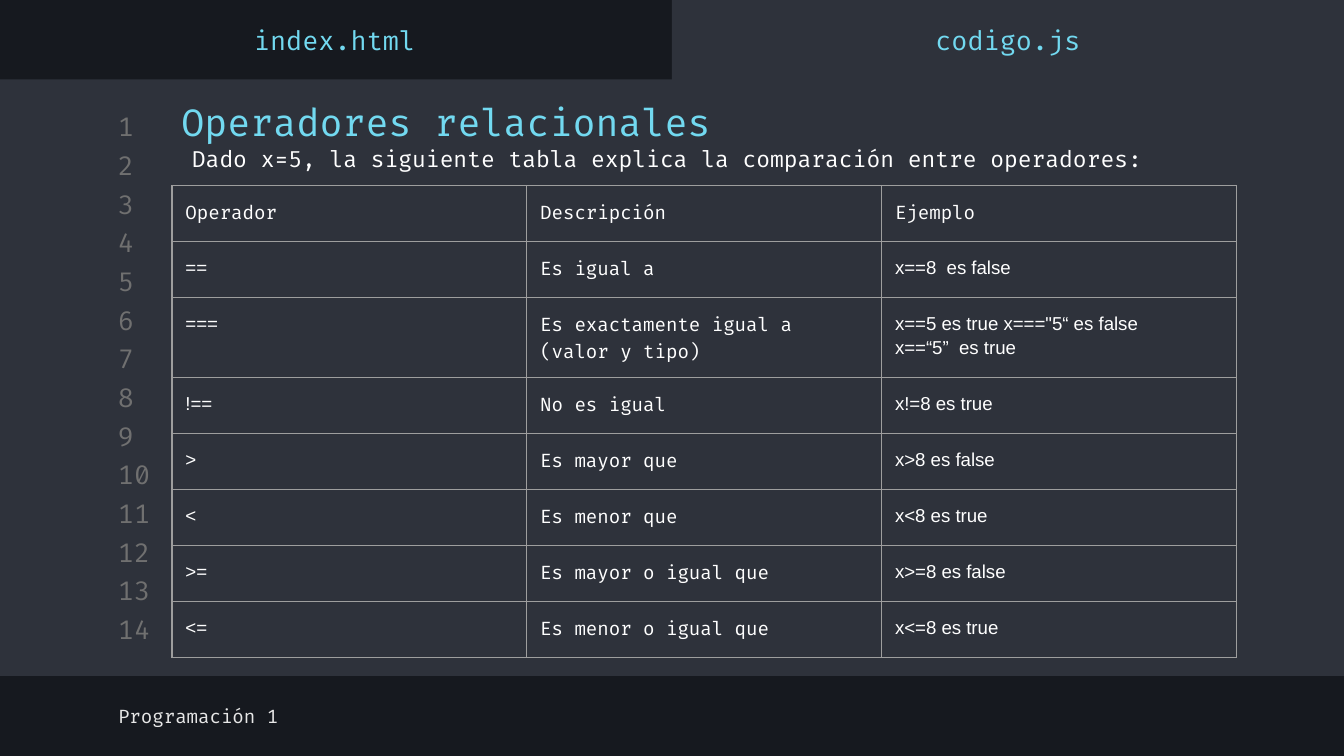
from dataclasses import dataclass

from lxml import etree
from pptx import Presentation
from pptx.dml.color import RGBColor
from pptx.enum.shapes import MSO_SHAPE
from pptx.enum.text import MSO_ANCHOR, MSO_AUTO_SIZE, PP_ALIGN
from pptx.oxml.ns import qn
from pptx.util import Inches, Pt

RECTANGLE = MSO_SHAPE.RECTANGLE
TOP, MIDDLE = MSO_ANCHOR.TOP, MSO_ANCHOR.MIDDLE
LEFT, CENTER = PP_ALIGN.LEFT, PP_ALIGN.CENTER
NO_AUTOFIT = MSO_AUTO_SIZE.NONE

CODE, PLAIN = "Fira Code", "Arial"
DARK, PANEL, CYAN = "16191F", "2E323B", "72D9F0"
GRAY, PALE, WHITE, BORDER = "707070", "E7E7E7", "FFFFFF", "9E9E9E"
INSET = Inches(0.1)

HEADER = ("Operador", "Descripción", "Ejemplo")
OPERATORS = [
    ("==", "Es igual a", "x==8  es false"),
    ("===", "Es exactamente igual a (valor y tipo)",
     "x==5 es true x===\"5“ es false\nx==“5”  es true"),
    ("!==", "No es igual", "x!=8 es true"),
    (">", "Es mayor que", "x>8 es false"),
    ("<", "Es menor que", "x<8 es true"),
    (">=", "Es mayor o igual que", "x>=8 es false"),
    ("<=", "Es menor o igual que", "x<=8 es true"),
]
SLIDE_WIDTH = 10
SLIDE_HEIGHT = SLIDE_WIDTH * 9 / 16
COLUMN_WIDTH, ROW_HEIGHT = 2.64, 5 / 12
LINE_COUNT, FIRST_LINE, LAST_LINE = 14, 0.82, 4.56


@dataclass
class Area:
    left: float
    top: float
    width: float
    height: float

    def lengths(self) -> tuple:
        return tuple(Inches(v) for v in (self.left, self.top, self.width, self.height))


@dataclass
class Label:
    text: str
    area: Area
    size: float
    color: str
    align: int = LEFT
    anchor: int = MIDDLE


def rgb(color: str) -> RGBColor:
    return RGBColor.from_string(color)


def write(frame, text: str, size: float, color: str, font: str = CODE,
          align: int = LEFT, spacing: float = 1.0) -> None:
    """Fill a text frame, one paragraph per line of text."""
    frame.text = text
    for para in frame.paragraphs:
        para.alignment, para.line_spacing = align, spacing
        for span in para.runs:
            for name, value in {"name": font, "size": Pt(size), "bold": False}.items():
                setattr(span.font, name, value)
            span.font.color.rgb = rgb(color)


def write_label(box, label: Label) -> None:
    frame = box.text_frame
    formats = {"margin_left": INSET, "margin_right": INSET, "margin_top": INSET,
               "margin_bottom": INSET, "word_wrap": True, "auto_size": NO_AUTOFIT,
               "vertical_anchor": label.anchor}
    for name, value in formats.items():
        setattr(frame, name, value)
    write(frame, label.text, label.size, label.color, align=label.align)


def add_label(page, label: Label) -> None:
    write_label(page.shapes.add_textbox(*label.area.lengths()), label)


def add_panel(page, area: Area) -> None:
    """Draw a background panel behind the title."""
    panel = page.shapes.add_shape(RECTANGLE, *area.lengths())
    panel.shadow.inherit = False
    panel.fill.solid()
    panel.fill.fore_color.rgb = rgb(PANEL)
    panel.line.fill.background()
    page.shapes.title.element.addprevious(panel.element)


def add_borders(cell) -> None:
    properties = cell._tc.get_or_add_tcPr()
    for index, side in enumerate(("a:lnL", "a:lnR", "a:lnT", "a:lnB")):
        line = etree.Element(qn(side), w=str(Pt(0.75)))
        fill = etree.SubElement(line, qn("a:solidFill"))
        etree.SubElement(fill, qn("a:srgbClr"), val=BORDER)
        properties.insert(index, line)


def add_operator_table(page, left: float, top: float) -> None:
    rows = [HEADER, *OPERATORS]
    area = Area(left, top, COLUMN_WIDTH * len(HEADER), ROW_HEIGHT * len(rows))
    table = page.shapes.add_table(len(rows), len(HEADER), *area.lengths()).table
    table.first_row = table.horz_banding = False
    for column in table.columns:
        column.width = Inches(COLUMN_WIDTH)
    for r, texts in enumerate(rows):
        table.rows[r].height = Inches(ROW_HEIGHT)
        for c, text in enumerate(texts):
            cell = table.cell(r, c)
            for side in ("left", "right", "top", "bottom"):
                setattr(cell, f"margin_{side}", INSET)
            font = CODE if r == 0 or c == 1 else PLAIN
            write(cell.text_frame, text, 10, WHITE, font, spacing=1.15)
            cell.fill.background()
            add_borders(cell)


def main() -> None:
    deck = Presentation()
    deck.slide_width, deck.slide_height = Inches(SLIDE_WIDTH), Inches(SLIDE_HEIGHT)
    page = deck.slides.add_slide(deck.slide_layouts[5])
    page.background.fill.solid()
    page.background.fill.fore_color.rgb = rgb(DARK)

    # Editor window and its active tab
    add_panel(page, Area(0, 0.59, 10, 4.44))
    add_panel(page, Area(5, 0, 5, 0.65))

    # Line numbers
    step = (LAST_LINE - FIRST_LINE) / (LINE_COUNT - 1)
    for index in range(LINE_COUNT):
        area = Area(0.78, FIRST_LINE + index * step, 0.47, 0.24)
        add_label(page, Label(str(index + 1), area, 14, GRAY))

    # Title
    title = page.shapes.title
    heading = Label("Operadores relacionales", Area(1.25, 0.64, 7.97, 0.59),
                    20, CYAN, anchor=TOP)
    title.left, title.top, title.width, title.height = heading.area.lengths()
    write_label(title, heading)

    # Footer, tab names and introduction
    for label in (
        Label("Programación 1", Area(0.78, 5.13, 5.32, 0.39), 10, PALE),
        Label("index.html", Area(-0.01, 0.1, 5, 0.39), 14, CYAN, CENTER),
        Label("codigo.js", Area(5, 0.1, 5, 0.39), 14, CYAN, CENTER),
        Label("Dado x=5, la siguiente tabla explica la comparación entre operadores:",
              Area(1.33, 0.98, 8.45, 0.39), 12, WHITE, anchor=TOP),
    ):
        add_label(page, label)

    # Operators
    add_operator_table(page, 1.28, 1.38)
    deck.save("out.pptx")


if __name__ == "__main__":
    main()
